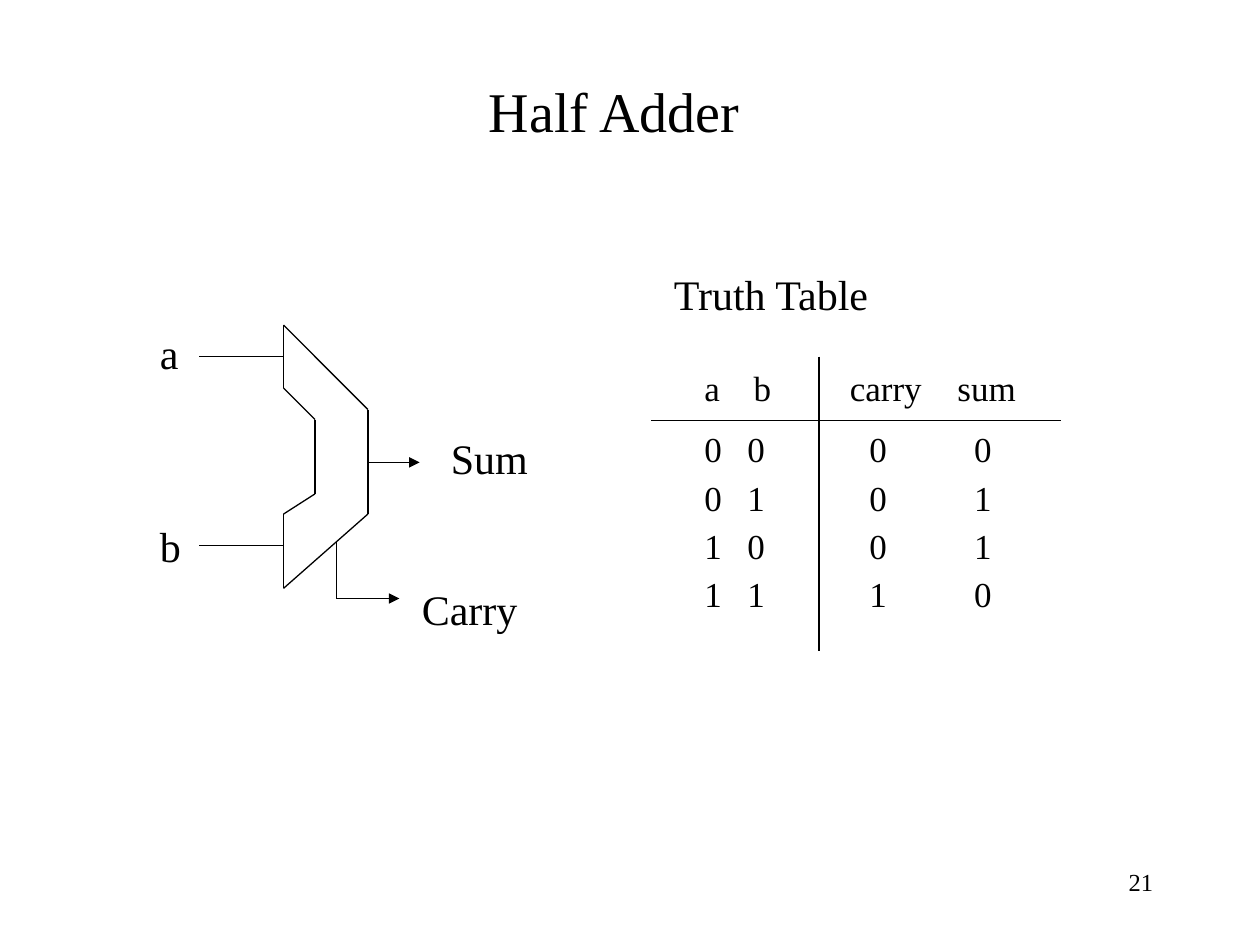
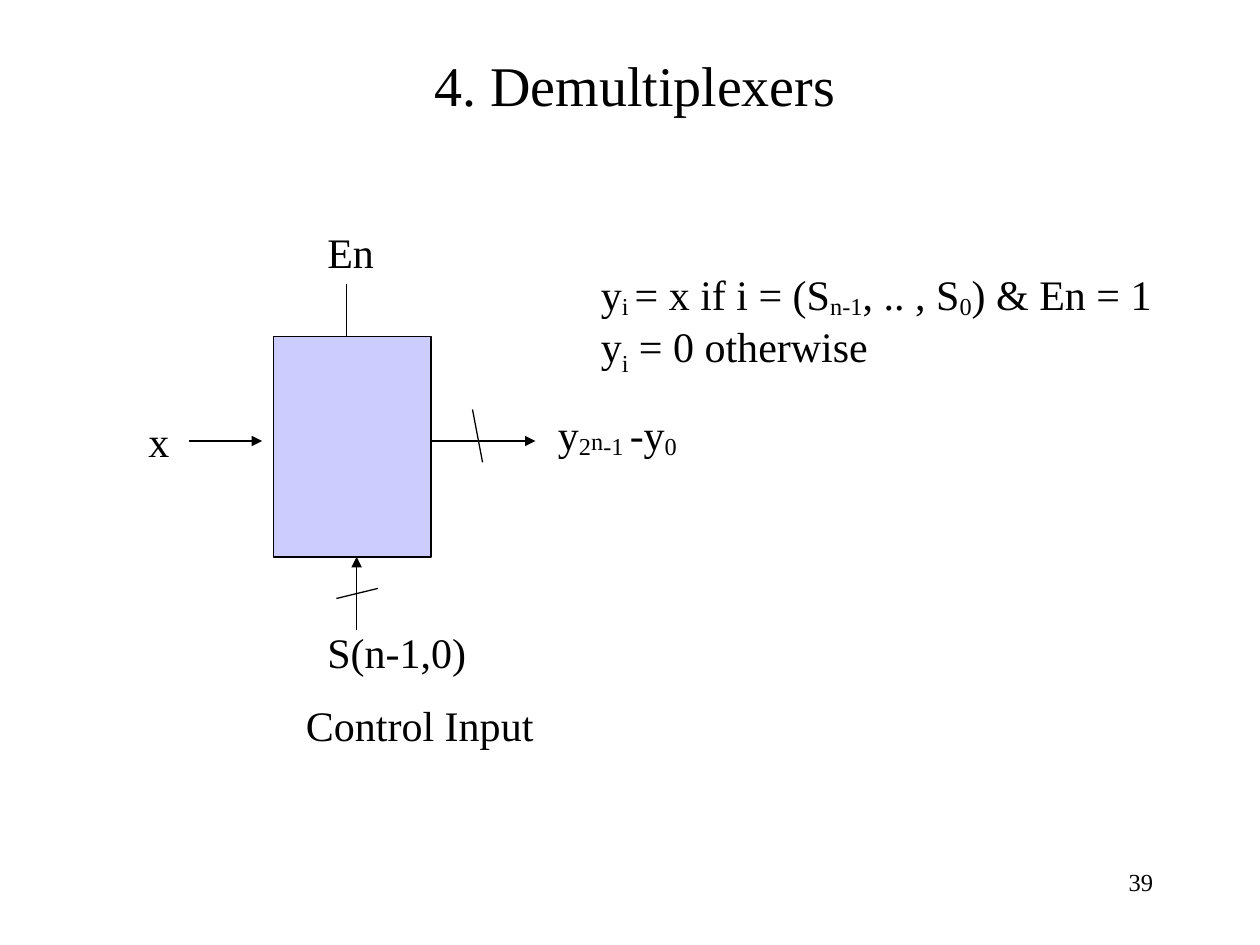
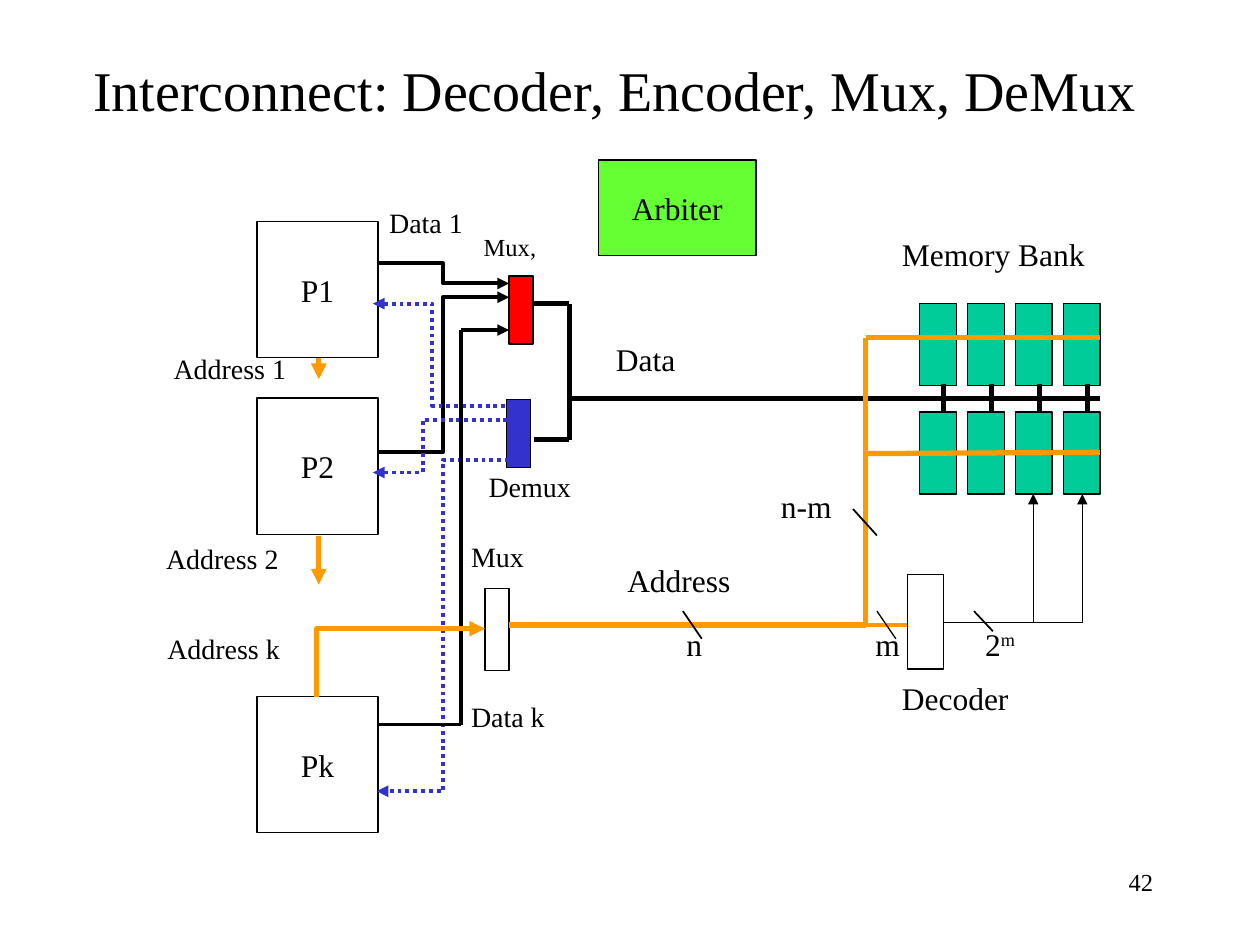
from itertools import pairwise

from lxml import etree
from pptx import Presentation
from pptx import util as u
from pptx.dml.color import RGBColor
from pptx.enum import shapes, text
from pptx.oxml.ns import qn

FONT = "Times New Roman"
COLORS = {"ink": "000000", "block": "CCCCFF", "memory": "00CC99", "mux": "FF0000",
          "demux": "3333CC", "arbiter": "66FF33", "address": "FF9900"}
WIRES = {"thin": ("ink", 0.75, None), "slash": ("ink", 1, None), "data": ("ink", 2.25, None),
         "bus": ("ink", 3, None), "address": ("address", 3, None),
         "select": ("address", 2.25, None), "reply": ("demux", 2.25, "sysDot")}
NUMBER_BOX = (7.17, 6.83, 2.08, 0.5)

TRUTH_HEAD = ("a", "b", "carry", "sum")
TRUTH_ROWS = ["0000", "0101", "1001", "1110"]
HEAD_STOPS = (0.46, 1.44, 2.24)
ROW_STOPS = (0.41, 1.38, 2.21)

ADDER_OUTLINE = [(2.25, 2.58), (2.92, 3.25), (2.92, 4.08), (2.25, 4.67), (2.25, 4.08),
                 (2.5, 3.92), (2.5, 3.33), (2.25, 3.08), (2.25, 2.58)]
ADDER_WIRES = [
    ("thin", [(5.17, 3.34), (8.42, 3.34)], False),
    ("thin", [(6.5, 2.83), (6.5, 5.17)], False),
    ("thin", ADDER_OUTLINE, False),
    ("thin", [(2.92, 3.67), (3.33, 3.67)], True),
    ("thin", [(2.67, 4.3), (2.67, 4.75), (3.17, 4.75)], True),
    ("thin", [(1.58, 2.83), (2.25, 2.83)], False),
    ("thin", [(1.58, 4.33), (2.25, 4.33)], False),
]
ADDER_LABELS = [
    ("Truth Table", 24, (5.25, 2.08, 1.78, 0.5)),
    ("a", 24, (1.17, 2.55, 0.35, 0.5)),
    ("b", 24, (1.17, 4.08, 0.37, 0.5)),
    ("Sum", 24, (3.48, 3.38, 0.81, 0.5)),
    ("Carry", 24, (3.25, 4.58, 0.96, 0.5)),
]

DEMUX_WIRES = [
    ("thin", [(2.75, 2.67), (2.75, 2.25)], False),
    ("thin", [(3.42, 3.5), (4.25, 3.5)], True),
    ("thin", [(1.5, 3.5), (2.08, 3.5)], True),
    ("thin", [(2.83, 5), (2.83, 4.42)], True),
    ("thin", [(3.75, 3.25), (3.83, 3.67)], False),
    ("thin", [(3, 4.67), (2.67, 4.75)], False),
]
DEMUX_LABELS = [
    ("En", 24, (2.5, 1.75, 0.57, 0.5)),
    ("x", 24, (1.08, 3.25, 0.33, 0.5)),
    ([["y", ("2", -12), ("n", -2), ("-1 ", -12), "-y", ("0", -12)]], 24, (4.33, 3.19, 1.22, 0.5)),
    ("S(n-1,0)", 24, (2.5, 4.92, 1.32, 0.51)),
    ("Control Input", 24, (2.33, 5.5, 2.08, 0.51)),
    ([["y", ("i ", -12), "= x if i = (S", ("n-1", -12), ", .. , S", ("0", -12), ") & En = 1"],
      ["y", ("i", -25), " = 0 otherwise"]], 24, (4.67, 2.08, 4.64, 0.9)),
]

PROCESSORS = {"P1": 1.76, "P2": 3.16, "Pk": 5.53}
MEMORY_COLUMNS = [7.3 + 0.38 * column for column in range(4)]
MEMORY_ROWS = (2.41, 3.27)
UNITS = [("mux", (4.04, 2.19, 0.19, 0.54)), ("demux", (4.02, 3.17, 0.19, 0.54)),
         (None, (7.2, 4.56, 0.29, 0.75)), (None, (3.85, 4.67, 0.19, 0.65))]
DATA_ELBOWS = [
    ("data", (2.99, 2.09), (4.04, 2.25), 0.5),
    ("data", (2.99, 3.59), (4.04, 2.36), 0.5),
    ("reply", (4.01, 3.22), (2.96, 2.41), 0.551),
    ("reply", (4.09, 3.33), (2.96, 3.75), 0.648),
    ("reply", (4.04, 3.65), (2.99, 6.28), 0.5),
]
DATA_WIRES = [
    ("bus", [(4.52, 3.16), (8.73, 3.16)], False),
    ("bus", [(4.24, 3.49), (4.52, 3.49), (4.52, 2.41), (4.24, 2.41)], False),
    ("data", [(3.66, 2.62), (4.04, 2.62)], True),
    ("data", [(3.66, 2.62), (3.66, 5.75), (2.99, 5.75)], False),
]
ADDRESS_WIRES = [
    ("address", [(4.04, 4.96), (6.87, 4.96), (6.87, 2.68), (8.73, 2.68)], False),
    ("address", [(6.87, 3.6), (8.73, 3.59)], False),
    ("select", [(6.87, 4.96), (7.2, 4.96)], False),
    ("address", [(2.53, 4.25), (2.53, 4.64)], True),
    ("address", [(2.53, 2.84), (2.53, 3.01)], True),
    ("slash", [(7.73, 4.85), (7.88, 5.01)], False),
    ("slash", [(5.42, 4.85), (5.57, 5.07)], False),
    ("slash", [(6.77, 4.04), (6.96, 4.25)], False),
    ("thin", [(6.96, 4.85), (7.11, 5.07)], False),
]
ADDRESS_CORNERS = [
    ("thin", (7.49, 4.94), (8.2, 3.92), False),
    ("thin", (7.49, 4.94), (8.59, 3.92), False),
    ("address", (2.51, 5.53), (3.85, 4.99), True),
]
INTERCONNECT_LABELS = [
    ("Memory Bank", 18, (7.06, 1.82, 1.65, 0.4)),
    ("Mux,", 14, (3.74, 1.79, 0.62, 0.33)),
    ("Demux", 16, (3.78, 3.68, 0.86, 0.37)),
    ("Decoder", 18, (7.06, 5.34, 1.05, 0.4)),
    ("Mux", 16, (3.64, 4.23, 0.62, 0.37)),
    ("Data", 18, (4.79, 2.65, 0.67, 0.4)),
    ("Address", 18, (4.88, 4.4, 1.02, 0.4)),
    ("Address k", 16, (1.23, 4.96, 1.1, 0.37)),
    ("Address 2", 16, (1.22, 4.25, 1.1, 0.37)),
    ("Address 1", 16, (1.28, 2.74, 1.1, 0.37)),
    ("Data 1", 16, (2.99, 1.58, 0.79, 0.37)),
    ("Data k", 16, (3.64, 5.5, 0.79, 0.37)),
    ("n", 18, (5.35, 4.91, 0.33, 0.4)),
    ("n-m", 18, (6.1, 3.82, 0.6, 0.4)),
    ("m", 18, (6.85, 4.91, 0.4, 0.4)),
    ([["2", ("m", 30)]], 18, (7.72, 4.91, 0.46, 0.4)),
]


def color(name):
    return RGBColor.from_string(COLORS[name])


def inches(values):
    return [u.Inches(round(value, 2)) for value in values]


def write(paragraph, words, size, baseline=0):
    run = paragraph.add_run()
    run.text = words
    run.font.name = FONT
    run.font.size = u.Pt(size)
    run.font.color.rgb = color("ink")
    if baseline:
        run.font._element.set("baseline", str(baseline * 1000))


def add_label(slide, content, size, place, align=text.PP_ALIGN.LEFT, fixed=False):
    frame = slide.shapes.add_textbox(*inches(place)).text_frame
    frame.word_wrap = fixed
    if not fixed:
        frame.auto_size = text.MSO_AUTO_SIZE.SHAPE_TO_FIT_TEXT
    lines = [[content]] if isinstance(content, str) else content
    for index, line in enumerate(lines):
        paragraph = frame.add_paragraph() if index else frame.paragraphs[0]
        paragraph.alignment = align
        for part in line:
            words, baseline = (part, 0) if isinstance(part, str) else part
            write(paragraph, words, size, baseline)
    return frame


def add_labels(slide, labels):
    for label in labels:
        add_label(slide, *label)


def add_block(slide, place, fill=None, caption=None):
    block = slide.shapes.add_shape(shapes.MSO_SHAPE.RECTANGLE, *inches(place))
    block.shadow.inherit = False
    if fill:
        block.fill.solid()
        block.fill.fore_color.rgb = color(fill)
    else:
        block.fill.background()
    block.line.color.rgb = color("ink")
    block.line.width = u.Pt(0.75)
    if caption:
        frame = block.text_frame
        frame.word_wrap = False
        frame.vertical_anchor = text.MSO_ANCHOR.MIDDLE
        frame.paragraphs[0].alignment = text.PP_ALIGN.CENTER
        write(frame.paragraphs[0], caption, 18)


def add_wire(slide, style, start, end, arrow, kind=shapes.MSO_CONNECTOR.STRAIGHT):
    tint, width, dash = WIRES[style]
    wire = slide.shapes.add_connector(kind, *inches(start + end))
    wire.line.color.rgb = color(tint)
    wire.line.width = u.Pt(width)
    outline = wire.line._get_or_add_ln()
    if dash:
        etree.SubElement(outline, qn("a:prstDash"), val=dash)
    if arrow:
        etree.SubElement(outline, qn("a:tailEnd"), type="triangle")
    etree.SubElement(wire._element.spPr, qn("a:effectLst"))
    return wire._element.spPr


def add_wires(slide, wires):
    for style, points, arrow in wires:
        legs = list(pairwise(points))
        for leg, (start, end) in enumerate(legs, 1):
            add_wire(slide, style, start, end, arrow and leg == len(legs))


def add_elbow(slide, style, start, end, bend):
    geometry = add_wire(slide, style, start, end, True, shapes.MSO_CONNECTOR.ELBOW)
    guides = geometry.find(qn("a:prstGeom")).get_or_add_avLst()
    etree.SubElement(guides, qn("a:gd"), name="adj1", fmla=f"val {round(bend * 100000)}")


def add_corner(slide, style, start, end, upward_first):
    if upward_first:
        middle = [(a + b) / 2 for a, b in zip(start, end)]
        half = [abs(a - b) / 2 for a, b in zip(start, end)][::-1]
        start = tuple(m - h for m, h in zip(middle, half))
        end = tuple(m + h for m, h in zip(middle, half))
    geometry = add_wire(slide, style, start, end, True, shapes.MSO_CONNECTOR.ELBOW)
    geometry.find(qn("a:prstGeom")).set("prst", "bentConnector2")
    if upward_first:
        geometry.find(qn("a:xfrm")).set("rot", str(270 * 60000))


def add_truth_table(slide):
    lines = [["\t".join(row)] for row in [TRUTH_HEAD, *TRUTH_ROWS]]
    frame = add_label(slide, lines, 20, (5.42, 2.83, 3.58, 3.06), fixed=True)
    frame.margin_left = u.Inches(0.17)
    frame.margin_top = u.Inches(0.08)
    for index, paragraph in enumerate(frame.paragraphs):
        if index:
            paragraph.space_before = u.Pt(10.7)
        if index > 1:
            paragraph.line_spacing = 0.7
        stops = etree.SubElement(paragraph._p.get_or_add_pPr(), qn("a:tabLst"))
        for stop in ROW_STOPS if index else HEAD_STOPS:
            etree.SubElement(stops, qn("a:tab"), pos=str(u.Inches(stop)), algn="ctr")


def start_slide(deck, title, title_place, number):
    slide = deck.slides.add_slide(deck.slide_layouts[6])
    heading = add_label(slide, title, 32, title_place, text.PP_ALIGN.CENTER, fixed=True)
    heading.vertical_anchor = text.MSO_ANCHOR.MIDDLE
    add_label(slide, number, 14, NUMBER_BOX, text.PP_ALIGN.RIGHT, fixed=True)
    return slide


def build_half_adder(deck):
    slide = start_slide(deck, "Half Adder", (0.75, 0.5, 8.25, 0.75), "21")
    add_truth_table(slide)
    add_wires(slide, ADDER_WIRES)
    add_labels(slide, ADDER_LABELS)


def build_demultiplexers(deck):
    slide = start_slide(deck, "4. Demultiplexers", (0.75, 0.17, 8.58, 1), "39")
    add_block(slide, (2.17, 2.67, 1.25, 1.75), "block")
    add_wires(slide, DEMUX_WIRES)
    add_labels(slide, DEMUX_LABELS)


def build_interconnect(deck):
    slide = start_slide(deck, "Interconnect: Decoder, Encoder, Mux, DeMux",
                        (0.42, 0.17, 8.92, 1.08), "42")
    for name, top in PROCESSORS.items():
        add_block(slide, (2.04, top, 0.96, 1.08), caption=name)
    for top in MEMORY_ROWS:
        for left in MEMORY_COLUMNS:
            add_block(slide, (left, top, 0.29, 0.65), "memory")
    for left in MEMORY_COLUMNS:
        add_wire(slide, "bus", (left + 0.19, 3.27), (left + 0.19, 3.05), False)
    for fill, place in UNITS:
        add_block(slide, place, fill)
    add_block(slide, (4.75, 1.27, 1.25, 0.76), "arbiter", "Arbiter")
    for elbow in DATA_ELBOWS:
        add_elbow(slide, *elbow)
    add_wires(slide, DATA_WIRES)
    add_wires(slide, ADDRESS_WIRES)
    for corner in ADDRESS_CORNERS:
        add_corner(slide, *corner)
    add_labels(slide, INTERCONNECT_LABELS)


def main():
    deck = Presentation()
    deck.slide_width, deck.slide_height = inches((10, 7.5))
    build_half_adder(deck)
    build_demultiplexers(deck)
    build_interconnect(deck)
    deck.save("out.pptx")


if __name__ == "__main__":
    main()
